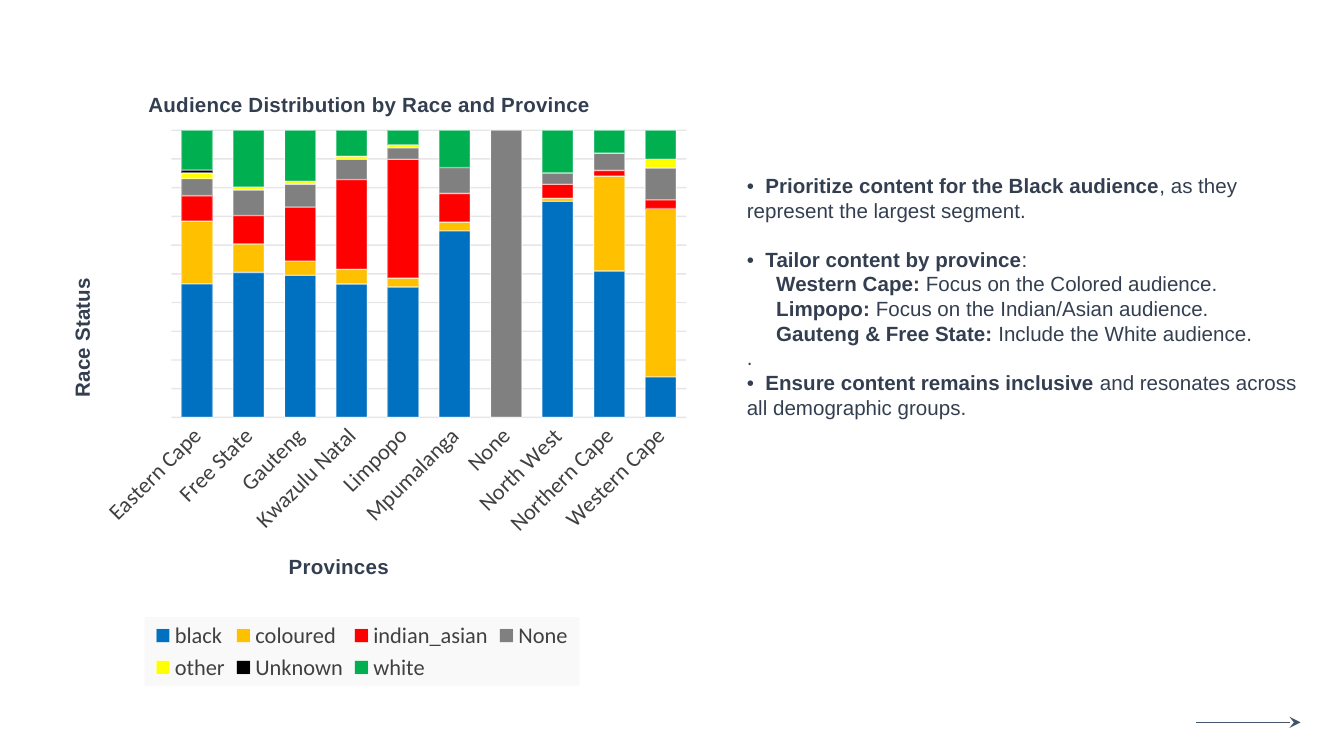
import pptx
import pptx.chart.data
import pptx.dml.color
import pptx.enum.chart
import pptx.enum.shapes
import pptx.enum.text
import pptx.oxml
import pptx.oxml.ns
import pptx.util

PX = 9525  # 96 px to the inch
INK, LABEL, ARROW = "333F50", "404040", "44546A"

PROVINCES = ["Eastern Cape", "Free State", "Gauteng", "Kwazulu Natal", "Limpopo",
             "Mpumalanga", "None", "North West", "Northern Cape", "Western Cape"]
RACES = [
    ("black", "0070C0", [47, 51, 50, 46, 45, 65, None, 76, 51, 14]),
    ("coloured", "FFC000", [22, 10, 5, 5, 3, 3, None, 1, 33, 58]),
    ("indian_asian", "FF0000", [9, 10, 19, 31, 41, 10, None, 5, 2, 3]),
    ("None", "808080", [6, 9, 8, 7, 4, 9, 100, 4, 6, 11]),
    ("other", "FFFF00", [2, 1, 1, 1, 1, None, None, None, None, 3]),
    ("Unknown", "000000", [1, None, 0, 0, None, None, None, None, None, 0]),
    ("white", "00B050", [14, 20, 18, 9, 5, 13, None, 15, 8, 10]),
]

# Each paragraph: left indent in px, space before in points, (text, bold) spans
ADVICE = [
    (0, 0, [("•  ", False), ("Prioritize content for the Black audience", True),
            (", as they represent the largest segment.", False)]),
    (0, 13, [("•  ", False), ("Tailor content by province", True), (":", False)]),
    (21, 0, [("Western Cape:", True), (" Focus on the Colored audience.", False)]),
    (21, 0, [("Limpopo:", True), (" Focus on the Indian/Asian audience.", False)]),
    (21, 0, [("Gauteng & Free State:", True), (" Include the White audience.", False)]),
    (0, 0, [(".", False)]),
    (0, 0, [("•  ", False), ("Ensure content remains inclusive", True),
            (" and resonates across all demographic groups.", False)]),
]


def px(*lengths):
    return [pptx.util.Emu(length * PX) for length in lengths]


def rgb(value):
    return pptx.dml.color.RGBColor.from_string(value)


def style_font(font, size, color, name="Arial", bold=False):
    font.size, font.name, font.bold = pptx.util.Pt(size), name, bold
    font.color.rgb = rgb(color)


def style_line(line, color, width=0.75):
    line.color.rgb = rgb(color)
    line.width = pptx.util.Pt(width)


def set_alpha(colors, percent):
    for color in colors:
        pptx.oxml.ns.qn("a:alpha")
        alpha = color.makeelement(pptx.oxml.ns.qn("a:alpha"), {"val": str(percent * 1000)})
        color.append(alpha)


def set_layout(element, after, **values):
    """Give a chart part a manual layout, in fractions of the chart."""
    for old in element.findall(pptx.oxml.ns.qn("c:layout")):
        element.remove(old)
    settings = {"xMode": "edge", "yMode": "edge", **values}
    if "w" in values and after is None:
        settings = {"layoutTarget": "inner", **settings}
    body = "".join(f'<c:{key} val="{value}"/>' for key, value in settings.items())
    layout = pptx.oxml.parse_xml(f"<c:layout {pptx.oxml.ns.nsdecls('c')}>"
                                 f"<c:manualLayout>{body}</c:manualLayout></c:layout>")
    if after is None:
        element.insert(0, layout)
    else:
        element.find(pptx.oxml.ns.qn(after)).addnext(layout)


def write_title(title, text, x, y):
    para = title.text_frame.paragraphs[0]
    span = para.add_run()
    span.text = text
    style_font(span.font, 11, INK, bold=True)
    set_layout(title._element, "c:tx", x=x, y=y)


def add_race_chart(page, left, top, width, height):
    data = pptx.chart.data.CategoryChartData()
    data.categories = PROVINCES
    for name, _, values in RACES:
        data.add_series(name, values)
    chart = page.shapes.add_chart(pptx.enum.chart.XL_CHART_TYPE.COLUMN_STACKED_100,
                                  *px(left, top, width, height), data).chart
    style_font(chart.font, 10, "000000", "Calibri")
    chart.has_title = True
    write_title(chart.chart_title, "Audience Distribution by Race and Province", 0.17, 0.04)
    set_layout(chart._chartSpace.chart.plotArea, None, x=0.21, y=0.11, w=0.77, h=0.46)

    # Columns
    plot = chart.plots[0]
    plot.gap_width, plot.overlap, plot.vary_by_categories = 65, 100, False
    for series, (_, color, _) in zip(plot.series, RACES):
        series.format.fill.solid()
        series.format.fill.fore_color.rgb = rgb(color)
        style_line(series.format.line, "FFFFFF")
        set_alpha(series._element.xpath("./c:spPr/a:ln//a:srgbClr"), 50)

    # Province axis with slanted labels
    provinces = chart.category_axis
    write_title(provinces.axis_title, "Provinces", 0.38, 0.78)
    provinces.major_tick_mark = pptx.enum.chart.XL_TICK_MARK.NONE
    provinces.format.line.fill.background()
    style_font(provinces.tick_labels.font, 12, LABEL, "Calibri")
    provinces._element.find(pptx.oxml.ns.qn("c:txPr")).bodyPr.set("rot", "-2700000")

    # Hidden share axis with faint gridlines
    shares = chart.value_axis
    shares.minimum_scale, shares.maximum_scale, shares.major_unit = 0, 1, 0.1
    shares.has_major_gridlines = True
    style_line(shares.major_gridlines.format.line, "0D0D0D")
    set_alpha(shares._element.xpath("./c:majorGridlines//a:srgbClr"), 10)
    write_title(shares.axis_title, "Race Status", 0.05, 0.34)
    shares.axis_title.text_frame._txBody.bodyPr.set("rot", "-5400000")
    shares.visible = False

    # Legend on a pale panel
    chart.has_legend = True
    legend = chart.legend
    legend.position = pptx.enum.chart.XL_LEGEND_POSITION.BOTTOM
    legend.include_in_layout = False
    style_font(legend.font, 12, LABEL, "Calibri")
    set_layout(legend._element, "c:legendPos", x=0.17, y=0.89, w=0.65, h=0.11)
    panel = pptx.oxml.parse_xml(
        f"<c:spPr {pptx.oxml.ns.nsdecls('c', 'a')}><a:solidFill>"
        '<a:srgbClr val="F9F9F9"/></a:solidFill><a:ln><a:noFill/></a:ln></c:spPr>')
    legend._element.find(pptx.oxml.ns.qn("c:txPr")).addprevious(panel)


def add_advice(page, left, top, width, height):
    box = page.shapes.add_textbox(*px(left, top, width, height))
    frame = box.text_frame
    frame.word_wrap = True
    frame.auto_size = pptx.enum.text.MSO_AUTO_SIZE.SHAPE_TO_FIT_TEXT
    for index, (indent, gap, spans) in enumerate(ADVICE):
        para = frame.add_paragraph() if index else frame.paragraphs[0]
        para.space_before = pptx.util.Pt(gap)
        para._p.get_or_add_pPr().set("marL", str(indent * PX))
        for text, bold in spans:
            span = para.add_run()
            span.text = text
            style_font(span.font, 11, INK, bold=bold)


def add_next_arrow(page, left, top, width):
    arrow = page.shapes.add_connector(pptx.enum.shapes.MSO_CONNECTOR.STRAIGHT,
                                      *px(left, top, left + width, top))
    style_line(arrow.line, ARROW)
    outline = arrow.line._get_or_add_ln()
    outline.append(outline.makeelement(pptx.oxml.ns.qn("a:tailEnd"), {"type": "stealth"}))
    outline.addnext(outline.makeelement(pptx.oxml.ns.qn("a:effectLst"), {}))


def main():
    deck = pptx.Presentation()
    deck.slide_width, deck.slide_height = px(960, 540)
    page = deck.slides.add_slide(deck.slide_layouts[6])
    add_next_arrow(page, 854, 516, 75)
    add_race_chart(page, 22, 44, 478, 446)
    add_advice(page, 524, 119, 422, 223)
    deck.save("out.pptx")


if __name__ == "__main__":
    main()
